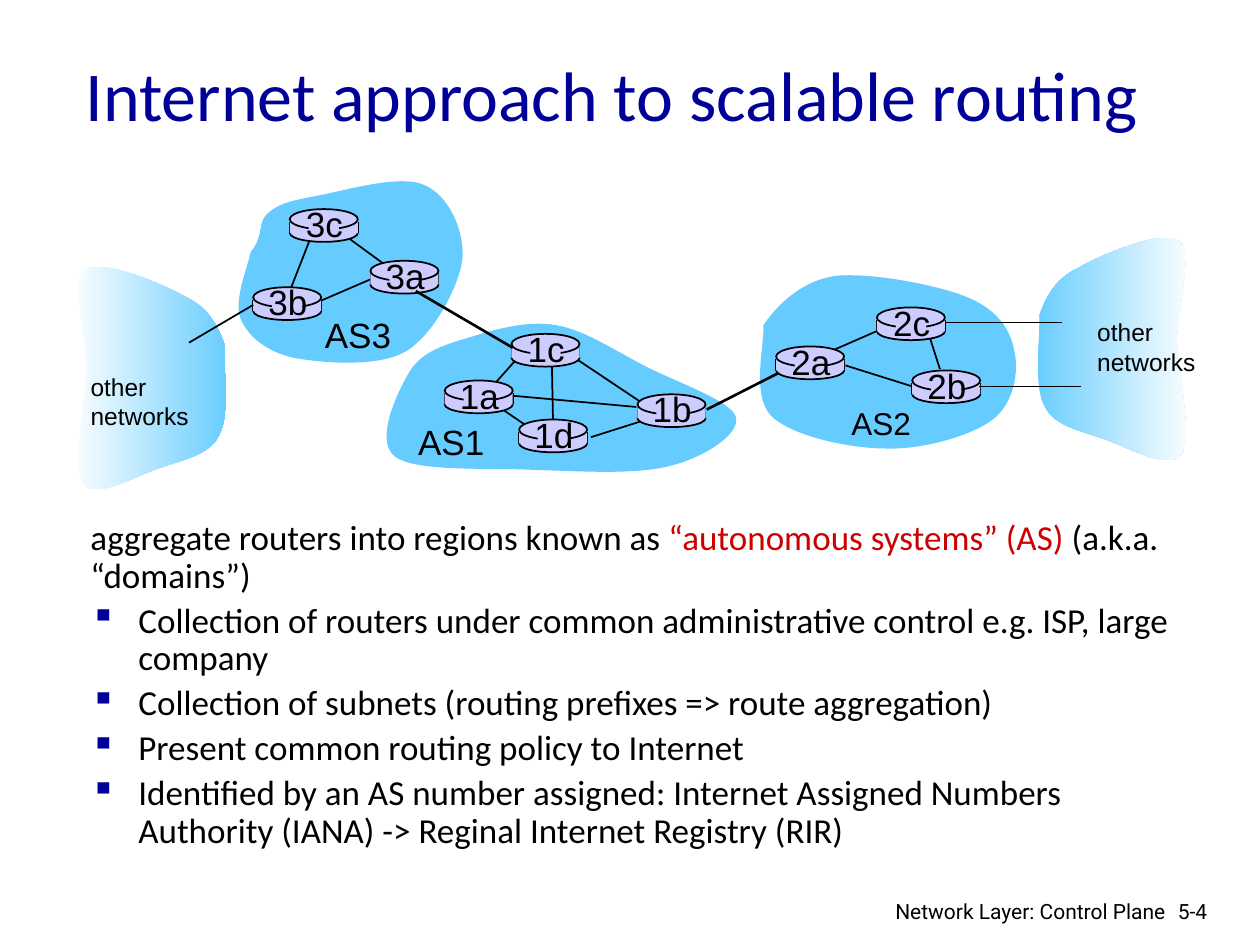
from typing import NamedTuple

from lxml.etree import SubElement
from pptx import Presentation
from pptx.dml.color import RGBColor
from pptx.enum.shapes import MSO_CONNECTOR, MSO_SHAPE
from pptx.enum.text import MSO_ANCHOR, MSO_AUTO_SIZE, PP_ALIGN
from pptx.oxml.ns import qn
from pptx.util import Inches, Pt

BLACK = RGBColor(0x00, 0x00, 0x00)
WHITE = RGBColor(0xFF, 0xFF, 0xFF)
NAVY = RGBColor(0x00, 0x00, 0x99)
RED = RGBColor(0xCC, 0x00, 0x00)
SKY = RGBColor(0x66, 0xCC, 0xFF)
LILAC = RGBColor(0xCC, 0xCC, 0xFF)

# The slide is a grid of 100 columns and 75 rows
COLUMNS, ROWS = 100, 75
CELL = Inches(10) // COLUMNS

Point = tuple[float, float]


class Router(NamedTuple):
    name: str
    left: float
    top: float


class Link(NamedTuple):
    start: Point
    end: Point
    weight: float = 1


class Label(NamedTuple):
    text: str
    left: float
    top: float
    width: float
    height: float
    size: float
    font: str = "Arial"
    align: PP_ALIGN = PP_ALIGN.LEFT
    wrap: bool = False


# Cloud outlines: a start, then two handles and an end for each curve
OTHER_RIGHT = [
    (82.5, 25), (83.1, 23.4), (83.8, 22.1), (85.7, 21.2), (87.5, 20.2), (92.2, 18.2), (93.5, 19.1),
    (94.8, 20.1), (93.4, 24.2), (93.4, 27), (93.5, 29.8), (94.7, 34.8), (93.7, 36.1),
    (92.8, 37.4), (89.6, 35.5), (87.8, 34.9), (86, 34.2), (83.7, 33.9), (82.9, 32.2),
    (82, 30.6), (82.6, 26.5), (82.5, 25)]
OTHER_LEFT = [(COLUMNS + 0.3 - x, y + 2.3) for x, y in OTHER_RIGHT]
AS_CLOUDS = [
    # AS2
    [(60.6, 25.8), (61.7, 24.2), (63.6, 22.3), (66.3, 21.9), (69, 21.6), (74.4, 22.6), (76.8, 23.6),
     (79.2, 24.6), (80.2, 26.2), (80.5, 27.8), (80.9, 29.4), (80.5, 32), (78.8, 33.3),
     (77.1, 34.6), (73.2, 35.7), (70.3, 35.6), (67.4, 35.6), (62.8, 34.6), (61.2, 33),
     (59.6, 31.3), (60.7, 27.3), (60.6, 25.8)],
    # AS3
    [(19.9, 20), (21, 18.7), (20.4, 17.6), (21.3, 16.9), (22.2, 16.1), (23.3, 15.9), (25.4, 15.5),
     (27.5, 15.1), (31.8, 13.8), (33.7, 14.7), (35.6, 15.5), (36.9, 18.3), (36.7, 20.6),
     (36.4, 22.8), (34.4, 26.6), (32.2, 27.9), (30, 29.2), (25.4, 28.8), (23.3, 28.4),
     (21.1, 27.9), (19.7, 26.7), (19.1, 25.3), (18.5, 23.9), (19.7, 21.1), (19.9, 20)],
    # AS1
    [(32.5, 29.5), (33.5, 27.9), (35.2, 27.4), (37.2, 26.8), (39.1, 26.2), (41.8, 25.4), (44.1, 25.8),
     (46.4, 26.2), (48.6, 27.7), (50.9, 28.9), (53.3, 30.2), (58.1, 31.8), (58.4, 33.1),
     (58.8, 34.5), (55.7, 36.4), (53.1, 37), (50.4, 37.7), (46, 37.4), (42.4, 37.3),
     (38.7, 37.1), (32.9, 37.5), (31.3, 36.2), (29.7, 34.9), (31.6, 31), (32.5, 29.5)],
]

ROUTERS = [
    Router("3b", 20.1, 22.8), Router("3c", 23, 16.6), Router("3a", 29.4, 20.7),
    Router("1c", 40.6, 26.5), Router("1a", 35.3, 30.2), Router("1d", 41.2, 33.3),
    Router("1b", 50.6, 31.3), Router("2a", 61.6, 27.5), Router("2c", 69.6, 24.4),
    Router("2b", 72.4, 29.4),
]

INNER_LINKS = [
    # AS3
    Link((25.4, 23.9), (29.8, 22)), Link((30.4, 20.9), (27.8, 19)), Link((24.6, 19), (23, 23.1)),
    # AS1
    Link((41, 28.5), (39.4, 30.3)), Link((43.8, 28.9), (43.9, 33.8)),
    Link((45.6, 28.4), (51, 32)), Link((51, 33.4), (46.9, 34.7)),
    Link((50.5, 32.3), (40.6, 31.4)), Link((39.6, 32.3), (41.8, 33.8)),
    # AS2
    Link((65.2, 28.2), (70, 26.1)), Link((67.1, 29), (72.5, 30.7)), Link((73.8, 26.8), (74.6, 29.3)),
]
OUTER_LINKS = [
    Link((75, 25.6), (84.3, 25.6), 0.75), Link((77.7, 30.7), (85.8, 30.7), 0.75),
    Link((20.1, 24.2), (15, 27.2)),
    Link((56.1, 32.5), (61.8, 29.6), 1.5), Link((33, 23.1), (40.7, 27.6), 1.5),
]

LABELS = [
    Label("AS3", 24.8, 24.4, 7.3, 4.3, 20),
    Label("AS2", 66.6, 31.6, 6.7, 4, 18),
    Label("AS1", 32.2, 32.9, 7.3, 4.3, 20),
    Label("other\nnetworks", 86.1, 24.7, 9.8, 5.7, 14),
    Label("other\nnetworks", 6.2, 29, 9.8, 5.7, 14),
    Label("Network Layer: Control Plane", 69.7, 70.8, 23.8, 2.6, 12, "Roboto", PP_ALIGN.RIGHT, True),
    Label("5-4", 92.5, 70.8, 6, 3, 12, "Roboto", wrap=True),
]

INTRO = [("aggregate routers into regions known as ", BLACK),
         ("“autonomous systems” (AS) ", RED), ("(a.k.a. “domains”)", BLACK)]
BULLETS = [
    "Collection of routers under common administrative control e.g. ISP, large company",
    "Collection of subnets (routing prefixes => route aggregation)",
    "Present common routing policy to Internet",
    "Identified by an AS number assigned: Internet Assigned Numbers Authority (IANA) "
    "-> Reginal Internet Registry (RIR)",
]


def cells(*counts: float) -> list[int]:
    return [round(count * CELL) for count in counts]


def format_span(span, font: str, size: float, color: RGBColor) -> None:
    span.font.name, span.font.size, span.font.color.rgb = font, Pt(size), color


def draw_label(shapes, label: Label) -> None:
    box = shapes.add_textbox(*cells(label.left, label.top, label.width, label.height))
    frame = box.text_frame
    frame.word_wrap = label.wrap
    frame.text = label.text
    for para in frame.paragraphs:
        para.alignment = label.align
        format_span(para.runs[0], label.font, label.size, BLACK)


def draw_link(shapes, link: Link) -> None:
    line = shapes.add_connector(MSO_CONNECTOR.STRAIGHT, *cells(*link.start, *link.end))
    line.line.color.rgb = BLACK
    line.line.width = Pt(link.weight)
    SubElement(line.element.spPr, qn("a:effectLst"))


def draw_cloud(shapes, outline: list[Point]):
    builder = shapes.build_freeform(*cells(*outline[0]))
    builder.add_line_segments([cells(*point) for point in outline[1:]], close=True)
    cloud = builder.convert_to_shape()
    # Join every three straight segments into one Bézier curve
    segments = list(cloud.element.iter(qn("a:lnTo")))
    for first, second, third in zip(*[iter(segments)] * 3):
        first.tag = qn("a:cubicBezTo")
        for segment in (second, third):
            first.append(segment[0])
            segment.getparent().remove(segment)
    cloud.shadow.inherit = False
    cloud.line.fill.background()
    cloud.fill.solid()
    cloud.fill.fore_color.rgb = SKY
    return cloud


def fade_cloud(cloud, start: RGBColor, end: RGBColor) -> None:
    cloud.fill.gradient()
    cloud.fill.gradient_angle = 0
    for stop, color in zip(cloud.fill.gradient_stops, (start, end)):
        stop.color.rgb = color


def draw_part(shapes, kind: MSO_SHAPE, left: float, top: float, width: float, height: float) -> None:
    part = shapes.add_shape(kind, *cells(left, top, width, height))
    part.shadow.inherit = False
    part.fill.solid()
    part.fill.fore_color.rgb = LILAC
    if kind == MSO_SHAPE.OVAL:
        part.line.color.rgb = BLACK
        part.line.width = Pt(1)
    else:
        part.line.fill.background()


def draw_router(shapes, router: Router) -> None:
    name, left, top = router
    parts = shapes.add_group_shape().shapes
    draw_part(parts, MSO_SHAPE.OVAL, left, top + 1.2, 5.4, 1.4)
    for side in (left, left + 5.4):
        draw_link(parts, Link((side, top + 1), (side, top + 1.9)))
    draw_part(parts, MSO_SHAPE.RECTANGLE, left, top + 1, 5.4, 0.9)
    draw_part(parts, MSO_SHAPE.OVAL, left, top, 5.4, 1.6)
    draw_part(parts, MSO_SHAPE.RECTANGLE, left + 1.5, top + 0.2, 2.4, 2)
    draw_label(parts, Label(name, left + 0.2, top - 1, 5.1, 4.3, 20, align=PP_ALIGN.CENTER))


def add_bullet(para) -> None:
    properties = para._p.get_or_add_pPr()
    properties.set("marL", str(Inches(0.38)))
    properties.set("indent", str(-Inches(0.38)))
    SubElement(SubElement(properties, qn("a:buClr")), qn("a:srgbClr")).set("val", str(NAVY))
    SubElement(properties, qn("a:buChar")).set("char", "▪")


def draw_body(shapes) -> None:
    frame = shapes.add_textbox(*cells(6.2, 40.8, 89.6, 30.7)).text_frame
    frame.word_wrap = True
    for index, spans in enumerate([INTRO, *([(text, BLACK)] for text in BULLETS)]):
        para = frame.add_paragraph() if index else frame.paragraphs[0]
        para.line_spacing = 0.9
        para.space_before = Pt(4)
        if index:
            add_bullet(para)
        for text, color in spans:
            span = para.add_run()
            span.text = text
            format_span(span, "Calibri", 20, color)


def main() -> None:
    deck = Presentation()
    deck.slide_width, deck.slide_height = cells(COLUMNS, ROWS)
    page = deck.slides.add_slide(deck.slide_layouts[5])
    shapes = page.shapes

    # Title
    title = shapes.title
    title.left, title.top, title.width, title.height = cells(5.8, 2.6, 89.1, 9.7)
    frame = title.text_frame
    frame.text = "Internet approach to scalable routing"
    frame.auto_size = MSO_AUTO_SIZE.NONE
    frame.vertical_anchor = MSO_ANCHOR.MIDDLE
    frame.paragraphs[0].alignment = PP_ALIGN.LEFT
    format_span(frame.paragraphs[0].runs[0], "Calibri", 40, NAVY)

    # Network diagram
    fade_cloud(draw_cloud(shapes, OTHER_RIGHT), SKY, WHITE)
    fade_cloud(draw_cloud(shapes, OTHER_LEFT), WHITE, SKY)
    for outline in AS_CLOUDS:
        draw_cloud(shapes, outline)
    for link in INNER_LINKS:
        draw_link(shapes, link)
    for router in ROUTERS:
        draw_router(shapes, router)
    for link in OUTER_LINKS:
        draw_link(shapes, link)

    # Text
    draw_body(shapes)
    for label in LABELS:
        draw_label(shapes, label)
    deck.save("out.pptx")


if __name__ == "__main__":
    main()
